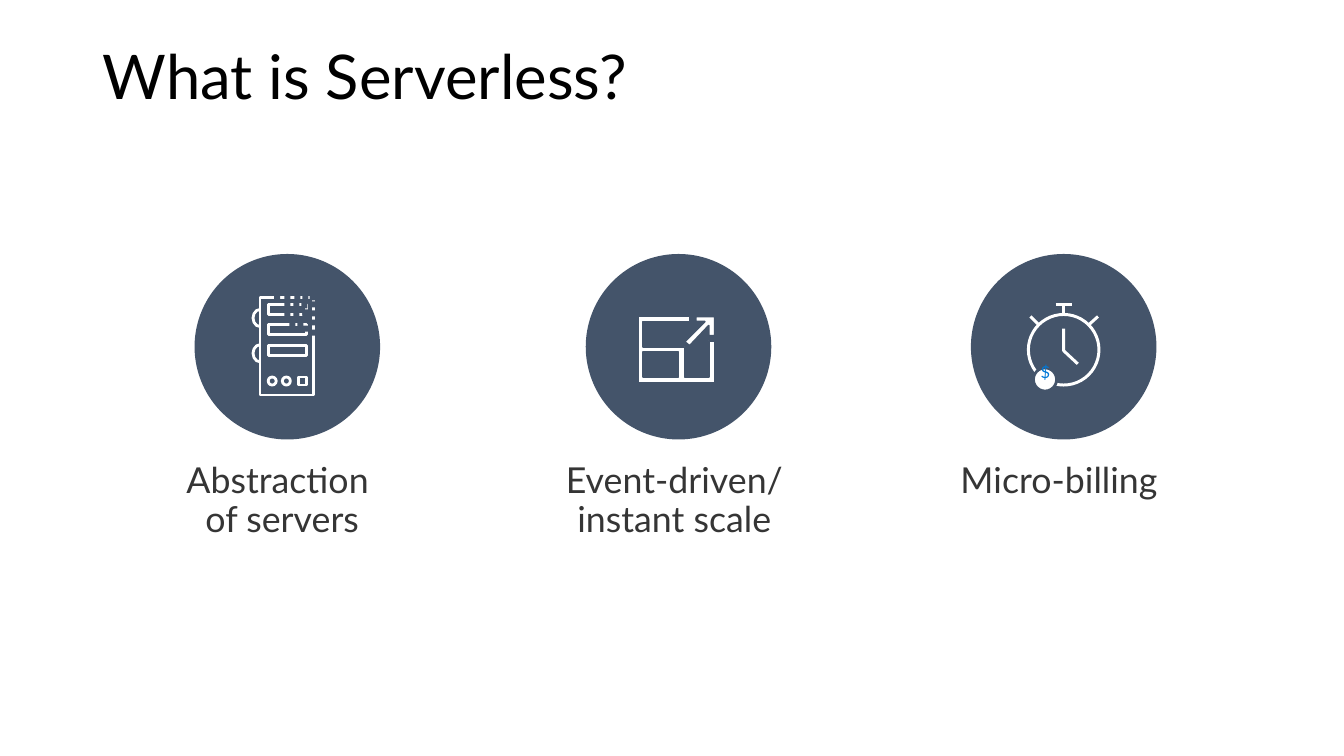
from typing import NamedTuple, Optional

from lxml.etree import SubElement
from pptx import Presentation
from pptx.dml.color import RGBColor
from pptx.enum.shapes import MSO_CONNECTOR, MSO_SHAPE
from pptx.enum.text import MSO_ANCHOR, PP_ALIGN
from pptx.oxml.ns import qn
from pptx.util import Inches, Pt

COLUMNS, ROWS = 1333, 750
CELL = Inches(0.01)
DISC_TOP, DISC_SIZE = 252, 184
LABEL_TOP = 443
SLATE, WHITE, BLACK, GRAY, BLUE = "44546A", "FFFFFF", "000000", "353535", "0078D7"
OVAL, RECTANGLE, ARC = MSO_SHAPE.OVAL, MSO_SHAPE.RECTANGLE, MSO_SHAPE.ARC


class Area(NamedTuple):
    left: float
    top: float
    width: float
    height: float


class Paint(NamedTuple):
    fill: Optional[str] = None
    line: Optional[str] = None
    weight: float = 0


class Topic(NamedTuple):
    disc_left: int
    label: Area
    lines: tuple


class Style(NamedTuple):
    size: float
    color: str
    align: PP_ALIGN = PP_ALIGN.LEFT
    space_after: float = 0
    insets: tuple = (0.1, 0.16, 0.2, 0.16)
    wrap: bool = True


WATCH_LINE = Paint(line=WHITE, weight=2.13)
SERVER_LINE = Paint(line=WHITE, weight=2)
CUTOUT = Paint(WHITE, SLATE, 1.25)
SOLID = Paint(SLATE)
TITLE = Style(44, BLACK, insets=(0.1, 0.05, 0.1, 0.05))
LABEL = Style(25.5, GRAY, PP_ALIGN.CENTER, 12)
COIN = Style(11.8, BLUE, space_after=5.9, insets=(0.2, 0.16, 0.2, 0.16), wrap=False)

SERVERS = Topic(193, Area(144, LABEL_TOP, 282, 111), ("Abstraction ", "of servers"))
SCALE = Topic(581, Area(528, LABEL_TOP, 292, 111), ("Event-driven/ instant scale",))
BILLING = Topic(963, Area(921, LABEL_TOP, 269, 72), ("Micro-billing",))

FRAME = [
    [(122, 122), (98, 122), (98, 92), (57, 92), (57, 67), (103, 67), (103, 62),
     (52, 62), (52, 128), (128, 128), (128, 86), (122, 86)],
    [(57, 97), (92, 97), (92, 122), (57, 122)],
]
ARROW = [[(109, 67), (118, 67), (98, 87), (103, 91), (122, 71), (122, 81),
          (128, 81), (128, 62), (109, 62)]]
WATCH_HANDS = [[(92, 74), (92, 96), (106, 109)]]
WATCH_STROKES = [
    ((84, 50), (100, 50)), ((92, 60), (92, 50)),
    ((126, 62), (116, 71)), ((59, 62), (68, 71)),
]
PIXELS = [
    (79, 40), (99, 40), (107, 39), (114, 40), (106, 48), (98, 46), (107, 55),
    (107, 57), (89, 39), (116, 47), (116, 56), (115, 65), (115, 75), (98, 57),
    (102, 68), (107, 71), (94, 68), (89, 46), (89, 58),
]


def color(value: str) -> RGBColor:
    return RGBColor.from_string(value)


def apply_paint(shape, paint: Paint) -> None:
    shape.shadow.inherit = False
    if paint.fill:
        shape.fill.solid()
        shape.fill.fore_color.rgb = color(paint.fill)
    else:
        shape.fill.background()
    if paint.line:
        shape.line.color.rgb = color(paint.line)
        shape.line.width = Pt(paint.weight)
    else:
        shape.line.fill.background()


def add_text(page, area: Area, lines: tuple, style: Style) -> None:
    box = page.shapes.add_textbox(*(round(length * CELL) for length in area))
    frame = box.text_frame
    frame.word_wrap = style.wrap
    frame.vertical_anchor = MSO_ANCHOR.TOP
    (frame.margin_left, frame.margin_top,
     frame.margin_right, frame.margin_bottom) = map(Inches, style.insets)
    para = frame.paragraphs[0]
    para.alignment = style.align
    para.line_spacing = 0.9
    para.space_after = Pt(style.space_after)
    for index, line in enumerate(lines):
        if index:
            para.add_line_break()
        span = para.add_run()
        span.text = line
        span.font.name = "Lato"
        span.font.size = Pt(style.size)
        span.font.color.rgb = color(style.color)


class Icon:
    def __init__(self, page, topic: Topic) -> None:
        self.page = page
        self.left = topic.disc_left
        self.add(OVAL, Area(0, 0, DISC_SIZE, DISC_SIZE), SOLID)

    def place(self, area: Area) -> Area:
        return area._replace(left=self.left + area.left, top=DISC_TOP + area.top)

    def add(self, kind: MSO_SHAPE, area: Area, paint: Paint):
        lengths = (round(length * CELL) for length in self.place(area))
        shape = self.page.shapes.add_shape(kind, *lengths)
        apply_paint(shape, paint)
        return shape

    def outline(self, contours: list, paint: Paint, close: bool = True) -> None:
        builder = self.page.shapes.build_freeform(*contours[0][0], scale=CELL)
        for index, points in enumerate(contours):
            if index:
                builder.move_to(*points[0])
            builder.add_line_segments(points[1:], close=close)
        shape = builder.convert_to_shape(self.left * CELL, DISC_TOP * CELL)
        apply_paint(shape, paint)

    def stroke(self, start: tuple, end: tuple, paint: Paint) -> None:
        ends = [(self.left + x, DISC_TOP + y) for x, y in (start, end)]
        connector = self.page.shapes.add_connector(
            MSO_CONNECTOR.STRAIGHT, *(length * CELL for point in ends for length in point))
        connector.line.color.rgb = color(paint.line)
        connector.line.width = Pt(paint.weight)
        SubElement(connector._element.spPr, qn("a:effectLst"))


def draw_billing(icon: Icon) -> None:
    icon.outline(WATCH_HANDS, WATCH_LINE, close=False)
    icon.add(OVAL, Area(57, 60, 70, 70), WATCH_LINE)
    for start, end in WATCH_STROKES:
        icon.stroke(start, end, WATCH_LINE)
    icon.add(OVAL, Area(62, 113, 23, 23), Paint(WHITE, SLATE, 2))
    add_text(icon.page, icon.place(Area(49, 100, 49, 49)), ("$",), COIN)


def draw_scale(icon: Icon) -> None:
    icon.outline(FRAME, CUTOUT)
    icon.outline(ARROW, CUTOUT)


def draw_servers(icon: Icon) -> None:
    icon.add(RECTANGLE, Area(65, 43, 53, 97), SERVER_LINE)
    for top in (50, 70, 91):
        icon.add(RECTANGLE, Area(73, top, 38, 10), SERVER_LINE)
    for top in (55, 90):
        handle = icon.add(ARC, Area(58, top, 14, 17), SERVER_LINE)
        handle.adjustments[0] = 54
        handle.adjustments[1] = 162
    for kind, left in ((OVAL, 73), (OVAL, 87), (RECTANGLE, 103)):
        icon.add(kind, Area(left, 122, 8, 8), SERVER_LINE)
    for left, top in PIXELS:
        icon.add(RECTANGLE, Area(left, top, 6, 6), SOLID)


deck = Presentation()
deck.slide_width, deck.slide_height = COLUMNS * CELL, ROWS * CELL
page = deck.slides.add_slide(deck.slide_layouts[6])
add_text(page, Area(92, 41, 1150, 75), ("What is Serverless?",), TITLE)
for topic, draw in ((BILLING, draw_billing), (SCALE, draw_scale), (SERVERS, draw_servers)):
    add_text(page, topic.label, topic.lines, LABEL)
    draw(Icon(page, topic))
deck.save("out.pptx")
